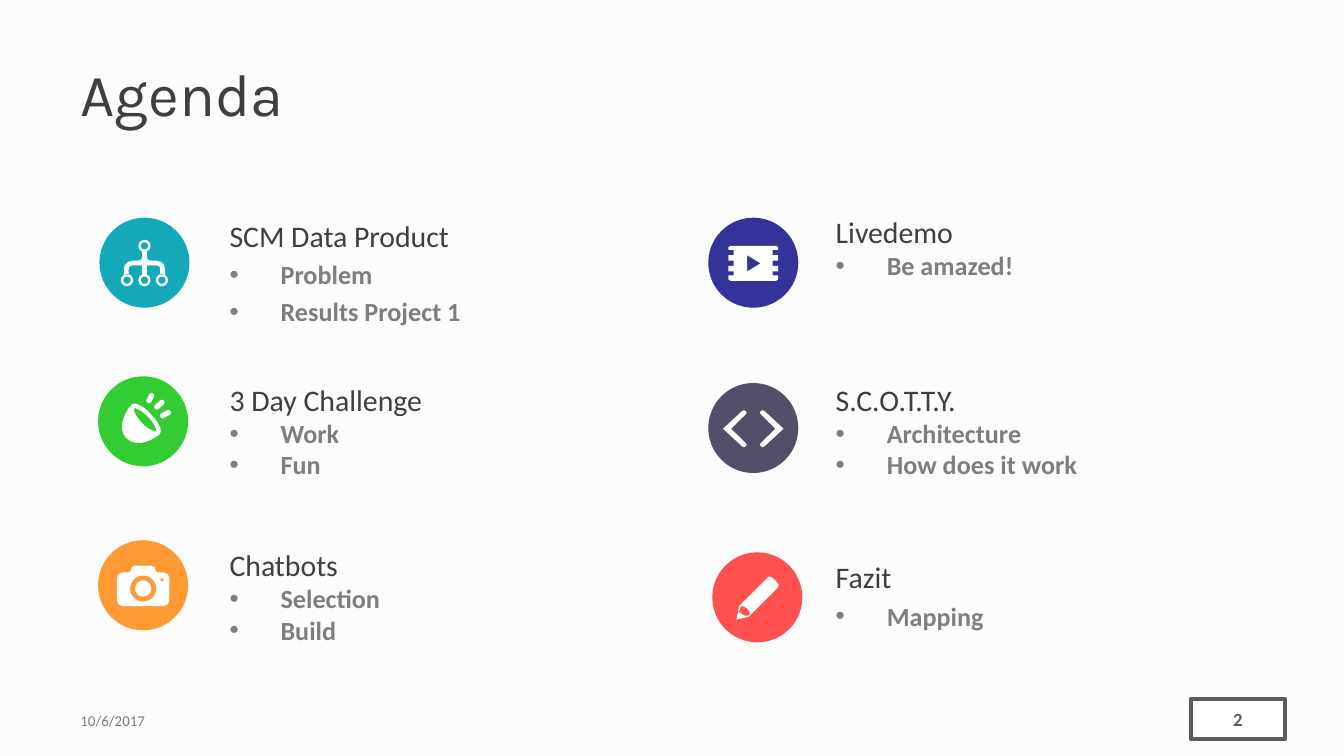
import math
from dataclasses import dataclass

from lxml import etree
from pptx import Presentation
from pptx.dml.color import RGBColor
from pptx.enum import shapes, text
from pptx.oxml import ns
from pptx.util import Inches, Pt

Point = tuple[float, float]
Contour = list[Point]

PAPER = RGBColor(0xFC, 0xFC, 0xFC)
WHITE = RGBColor(0xFF, 0xFF, 0xFF)
INK = RGBColor(0x3F, 0x3F, 0x3F)
GRAY = RGBColor(0x7E, 0x7E, 0x7E)
FRAME = RGBColor(0x5C, 0x5C, 0x5C)
TEAL = RGBColor(0x13, 0xA9, 0xB9)
GREEN = RGBColor(0x33, 0xCC, 0x33)
ORANGE = RGBColor(0xFF, 0x99, 0x33)
NAVY = RGBColor(0x33, 0x33, 0x99)
SLATE = RGBColor(0x52, 0x50, 0x68)
RED = RGBColor(0xFF, 0x50, 0x50)

BODY_FONT = "Calibri"
DISC = 0.67
LEFT_TEXT, RIGHT_TEXT = 1.61, 6.12
LOOSE = 2.8


@dataclass
class AgendaItem:
    heading: str
    bullets: list[str]
    text_at: Point
    disc_at: Point
    color: RGBColor
    icon: list[Contour]
    gap: float = 0


def flip(points: Contour) -> Contour:
    return [(-x, y) for x, y in reversed(points)]


def capsule(start: Point, end: Point, radius: float, steps: int = 32) -> Contour:
    heading = math.atan2(end[1] - start[1], end[0] - start[0])
    points = []
    for i in range(steps):
        cx, cy = end if i < steps / 2 else start
        angle = heading - math.pi / 2 + 2 * math.pi * i / steps
        points.append((cx + radius * math.cos(angle), cy + radius * math.sin(angle)))
    return points


def circle(x: float, y: float, radius: float) -> Contour:
    return capsule((x, y), (x, y), radius)


def curve(start: Point, *segments: tuple[Point, Point, Point], steps: int = 8) -> Contour:
    points = [start]
    for a, b, end in segments:
        for t in (i / steps for i in range(1, steps + 1)):
            weights = ((1 - t) ** 3, 3 * t * (1 - t) ** 2, 3 * t * t * (1 - t), t ** 3)
            points.append(tuple(sum(w * p[axis] for w, p in zip(weights, (start, a, b, end)))
                                for axis in (0, 1)))
        start = end
    return points


def tree_icon() -> list[Contour]:
    half = [(-1.8, -8.2), (-1.8, -3.5), (-3, -2), (-5, -1.5), (-9, -1.5), (-12.5, -0.5),
            (-14.6, 1.8), (-15.3, 4.5), (-15.3, 9), (-11.7, 9), (-11.7, 4.5), (-11, 2.8),
            (-9, 2), (-1.8, 2), (-1.8, 8.7)]
    nodes = [(0, -12.5), (-13, 13), (0, 13), (13, 13)]
    return [half + flip(half)] + [circle(x, y, r) for x, y in nodes for r in (4.5, 2.7)]


def popper_icon() -> list[Contour]:
    horn = curve((-8.5, -12.5),
                 ((-11.5, -9.5), (-20.5, 4.5), (-12.5, 12.5)),
                 ((-3.5, 21.5), (10.5, 11.5), (12.5, 9.5)),
                 ((14.5, 6.5), (11.5, 0.5), (5.5, -5.5)),
                 ((0.5, -11.5), (-6.5, -14.5), (-8.5, -12.5)))
    mouth = curve((9.5, 7.5),
                  ((9.5, 7.5), (3.5, 6.5), (-0.5, 1.5)),
                  ((-5.5, -3.5), (-7.5, -8.5), (-6.5, -9.5)),
                  ((-6.5, -10.5), (-1.5, -8.5), (3.5, -3.5)),
                  ((8.5, 1.5), (10.5, 6.5), (9.5, 7.5)))
    rays = [((4.5, -15.5), (6.3, -19)), ((10.3, -10.7), (14, -14)), ((14.7, -4.2), (18.7, -6.5))]
    return [horn, mouth] + [capsule(start, end, 2) for start, end in rays]


def camera_icon() -> list[Contour]:
    half = [(-6.5, -14.5), (-8.5, -13.5), (-9.5, -10.5), (-10.5, -9.5), (-15.5, -9.5),
            (-18.3, -8.3), (-19.5, -5.5), (-19.5, 11.5), (-18.3, 14.3), (-15.5, 15.5)]
    return [half + flip(half), circle(0, 2.5, 9.7), circle(0, 2.5, 6), circle(14, -4, 1.2)]


def film_icon() -> list[Contour]:
    half = [(-17, -12.5), (-18.5, -11.5)]
    for top, bottom in [(-9.5, -5.5), (-1.5, 2.5), (6.5, 9.5)]:
        half += [(-18.5, top), (-14.5, top), (-14.5, bottom), (-18.5, bottom)]
    half += [(-18.5, 12.5), (-17, 13.5)]
    return [half + flip(half), [(-4.5, -5.5), (5.5, 0.5), (-4.5, 6.5)]]


def code_icon() -> list[Contour]:
    chevron = [(-22.5, 0.5), (-8.5, -12.5), (-7, -13.3), (-5.5, -12.5), (-5, -11.5),
               (-5.5, -10.3), (-16.5, 0.5), (-5.5, 11.3), (-5, 12.5), (-5.5, 13.5),
               (-7, 14.3), (-8.5, 13.5)]
    return [chevron, flip(chevron)]


def pencil_icon() -> list[Contour]:
    body = [(8.5, -15.5), (-13.5, 6.5), (-15.5, 16.5), (-6.5, 14.5), (15.5, -7.5),
            (16, -9.5), (13.5, -12.5), (10.5, -15.2)]
    tip = [(-6.5, 13.5), (-9.5, 13.5), (-11.5, 12.5), (-13.5, 10.5), (-12.5, 7.5),
           (-11.5, 6.5), (-9.5, 7), (-7.5, 8.5), (-5.8, 10.5), (-5.5, 12.5)]
    return [body, tip]


def style(p, size: float, color: RGBColor, bold: bool = False, font: str = BODY_FONT) -> None:
    for r in p.runs:
        r.font.name, r.font.size, r.font.bold = font, Pt(size), bold
        r.font.color.rgb = color


def add_bullet(p) -> None:
    props = p._p.get_or_add_pPr()
    props.set("marL", str(Inches(0.38)))
    props.set("indent", str(Inches(-0.38)))
    etree.SubElement(props, ns.qn("a:buFont")).set("typeface", "Arial")
    etree.SubElement(props, ns.qn("a:buChar")).set("char", "•")


def add_icon(s, item: AgendaItem) -> None:
    group = s.shapes.add_group_shape()
    left, top = item.disc_at
    disc = group.shapes.add_shape(shapes.MSO_SHAPE.OVAL, Inches(left), Inches(top),
                                  Inches(DISC), Inches(DISC))
    outlines = [[(Inches(left + DISC / 2 + x / 100), Inches(top + DISC / 2 + y / 100))
                 for x, y in contour] for contour in item.icon]
    builder = group.shapes.build_freeform(*outlines[0][0])
    for i, outline in enumerate(outlines):
        if i:
            builder.move_to(*outline[0])
        builder.add_line_segments(outline[1:], close=True)
    for sp, color in ((disc, item.color), (builder.convert_to_shape(), WHITE)):
        sp.shadow.inherit = False
        sp.fill.solid()
        sp.fill.fore_color.rgb = color
        sp.line.fill.background()


def add_item(s, item: AgendaItem) -> None:
    add_icon(s, item)
    left, top = item.text_at
    tf = s.shapes.add_textbox(Inches(left), Inches(top), Inches(3.23), Inches(0.98)).text_frame
    tf.word_wrap = True
    tf.text = item.heading
    style(tf.paragraphs[0], 16, INK)
    for bullet in item.bullets:
        p = tf.add_paragraph()
        p.text = bullet
        add_bullet(p)
        p.space_before = Pt(item.gap)
        style(p, 14, GRAY, bold=True)


def add_footer(s) -> None:
    date = s.shapes.add_textbox(Inches(0.5), Inches(5.21), Inches(2.33), Inches(0.3))
    number = s.shapes.add_shape(shapes.MSO_SHAPE.RECTANGLE, Inches(8.86), Inches(5.2),
                                Inches(0.7), Inches(0.3))
    number.shadow.inherit = False
    number.fill.solid()
    number.fill.fore_color.rgb = WHITE
    number.line.color.rgb = FRAME
    number.line.width = Pt(2)
    for sp, label in ((date, "10/6/2017"), (number, "2")):
        sp.text_frame.word_wrap = True
        sp.text_frame.vertical_anchor = text.MSO_ANCHOR.MIDDLE
        sp.text_frame.text = label
    style(date.text_frame.paragraphs[0], 8, GRAY)
    number.text_frame.paragraphs[0].alignment = text.PP_ALIGN.CENTER
    style(number.text_frame.paragraphs[0], 10, FRAME, bold=True)


def add_title(s, label: str) -> None:
    title = s.shapes.title
    title.left, title.top, title.width, title.height = map(Inches, (0.5, 0.4, 9, 0.58))
    tf = title.text_frame
    tf.text = label
    tf.vertical_anchor = text.MSO_ANCHOR.MIDDLE
    tf.paragraphs[0].alignment = text.PP_ALIGN.LEFT
    style(tf.paragraphs[0], 32, INK, font="Karla")


ITEMS = [
    AgendaItem("SCM Data Product", ["Problem", "Results Project 1"], (LEFT_TEXT, 1.57),
               (0.74, 1.62), TEAL, tree_icon(), LOOSE),
    AgendaItem("3 Day Challenge", ["Work", "Fun"], (LEFT_TEXT, 2.79),
               (0.73, 2.8), GREEN, popper_icon()),
    AgendaItem("Chatbots", ["Selection", "Build"], (LEFT_TEXT, 4.02),
               (0.73, 4.02), ORANGE, camera_icon()),
    AgendaItem("Livedemo", ["Be amazed!"], (RIGHT_TEXT, 1.54),
               (5.27, 1.62), NAVY, film_icon()),
    AgendaItem("S.C.O.T.T.Y.", ["Architecture", "How does it work"], (RIGHT_TEXT, 2.79),
               (5.27, 2.85), SLATE, code_icon()),
    AgendaItem("Fazit", ["Mapping"], (RIGHT_TEXT, 4.11),
               (5.3, 4.11), RED, pencil_icon(), LOOSE),
]


def main() -> None:
    prs = Presentation()
    prs.slide_width = Inches(10)
    prs.slide_height = prs.slide_width * 9 // 16
    s = prs.slides.add_slide(prs.slide_layouts[5])
    s.background.fill.solid()
    s.background.fill.fore_color.rgb = PAPER
    add_title(s, "Agenda")
    for item in ITEMS:
        add_item(s, item)
    add_footer(s)
    prs.save("out.pptx")


if __name__ == "__main__":
    main()
